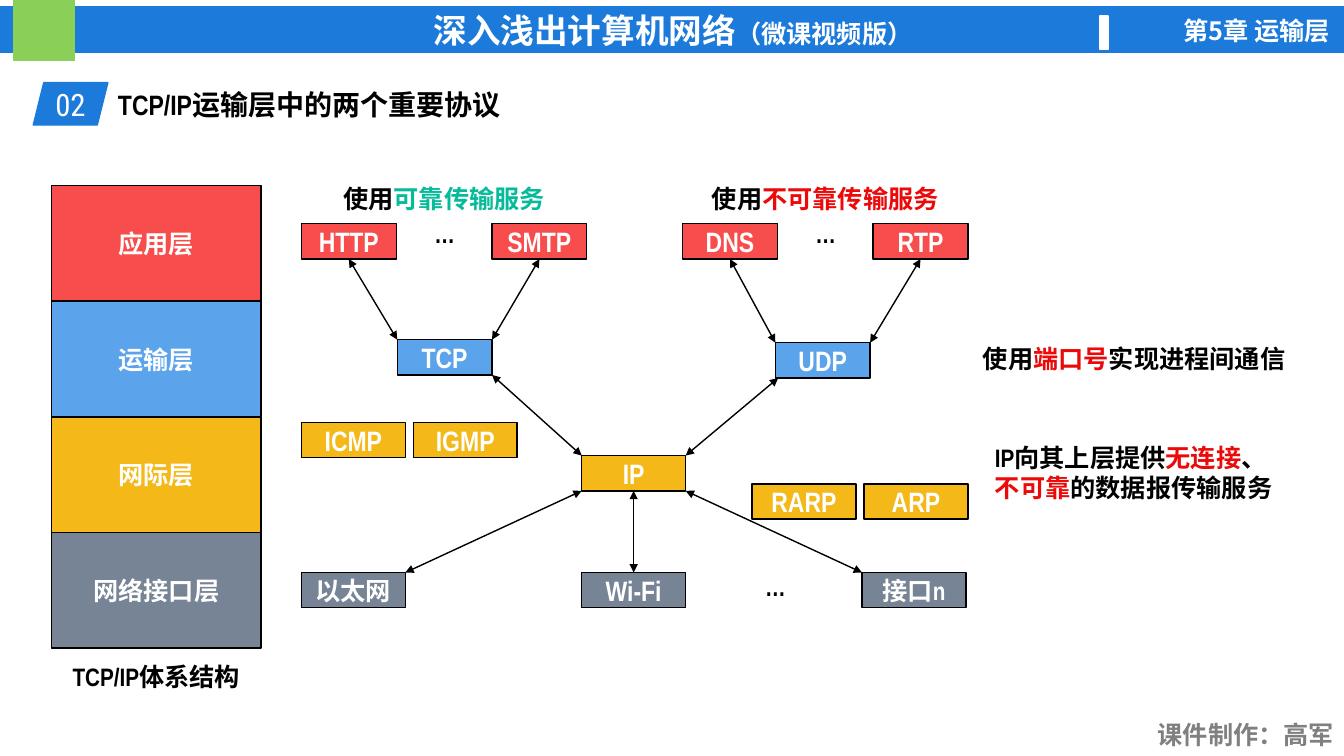
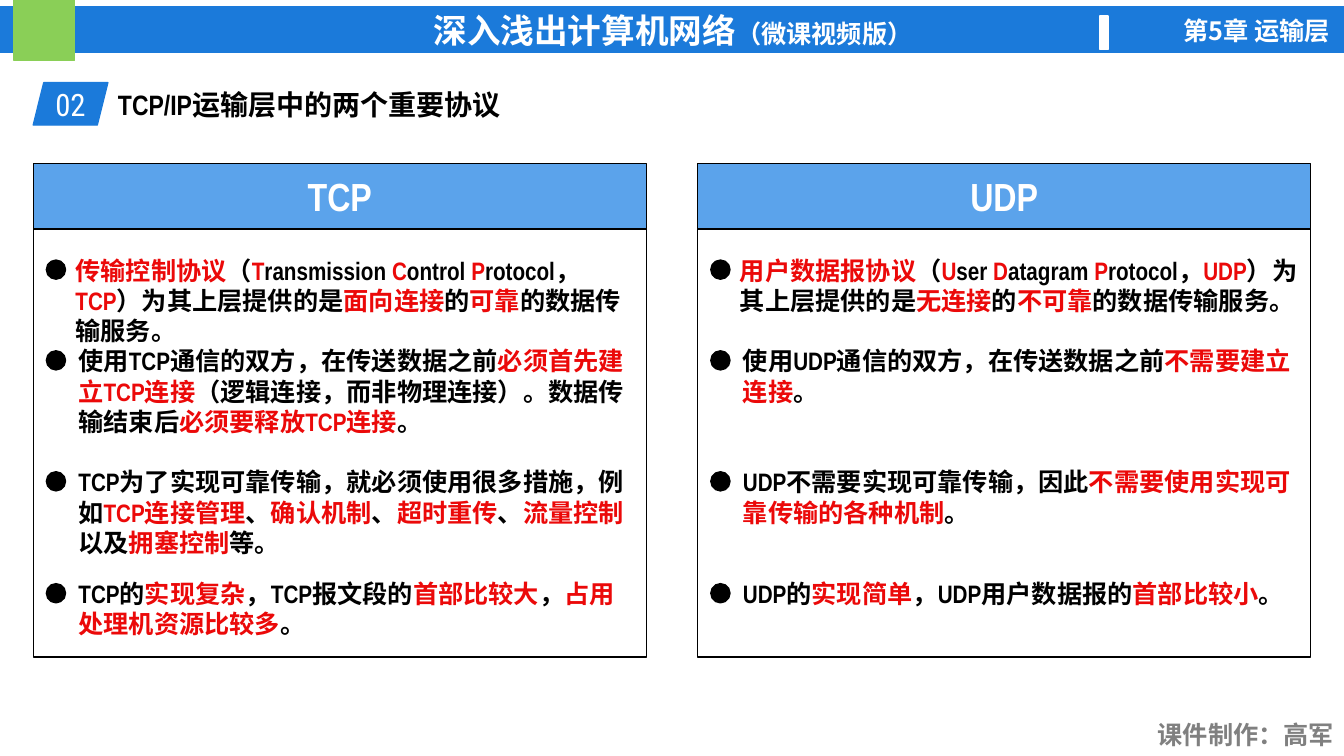
from typing import NamedTuple

from pptx import Presentation
from pptx.dml.color import RGBColor
from pptx.enum.lang import MSO_LANGUAGE_ID as LANGUAGE
from pptx.enum.shapes import MSO_CONNECTOR as CONNECTOR, MSO_SHAPE as SHAPE
from pptx.enum.text import MSO_ANCHOR as ANCHOR, MSO_AUTO_SIZE as AUTO_SIZE, PP_ALIGN as ALIGN
from pptx.oxml.ns import qn
from pptx.util import Inches, Pt
from lxml.etree import SubElement

BLUE = RGBColor(0x1B, 0x7A, 0xDA)
LIGHT_BLUE = RGBColor(0x5B, 0xA3, 0xEB)
GREEN = RGBColor(0x8A, 0xCF, 0x57)
TEAL = RGBColor(0x06, 0xBB, 0x9A)
CORAL = RGBColor(0xF8, 0x4D, 0x4D)
RED = RGBColor(0xEB, 0x09, 0x09)
AMBER = RGBColor(0xF4, 0xB9, 0x19)
SLATE = RGBColor(0x77, 0x84, 0x95)
GRAY = RGBColor(0x80, 0x80, 0x80)
BLACK = RGBColor(0, 0, 0)
WHITE = RGBColor(0xFF, 0xFF, 0xFF)

BODY_FONT = "Arial Narrow"
CHINESE_FONT = "Noto Sans CJK SC"
NUMBER_FONT = "Roboto Condensed"

TITLE = "TCP/IP运输层中的两个重要协议"
ELLIPSIS = "…"

COMPARISON = {
    "TCP": [
        "|传输控制协议|（|T|ransmission |C|ontrol |P|rotocol，|TCP|）为其上层提供的是"
        "|面向连接|的|可靠|的数据传输服务。",
        "使用TCP通信的双方，在传送数据之前|必须首先建立TCP连接|"
        "（逻辑连接，而非物理连接）。数据传输结束后|必须要释放TCP连接|。",
        "TCP为了实现可靠传输，就必须使用很多措施，例如|TCP连接管理|、|确认机制|、"
        "|超时重传|、|流量控制|以及|拥塞控制|等。",
        "TCP的|实现复杂|，TCP报文段的|首部比较大|，|占用处理机资源比较多|。",
    ],
    "UDP": [
        "|用户数据报协议|（|U|ser |D|atagram |P|rotocol，|UDP|）为其上层提供的是"
        "|无连接|的|不可靠|的数据传输服务。",
        "使用UDP通信的双方，在传送数据之前|不需要建立连接|。",
        "UDP不需要实现可靠传输，因此|不需要使用实现可靠传输的各种机制|。",
        "UDP的|实现简单|，UDP用户数据报的|首部比较小|。",
    ],
}


class Box(NamedTuple):
    """A rectangle in inches."""
    left: float
    top: float
    width: float
    height: float

    def inside(self, left, top, width, height):
        return Box(self.left + left, self.top + top, width, height)

    def point(self, across, down):
        """Point at the given fractions of the width and height."""
        return (Inches(self.left + across * self.width),
                Inches(self.top + down * self.height))

    def emu(self):
        return [Inches(length) for length in self]


def add_run(paragraph, text, size=18, color=BLACK, bold=True, font_name=BODY_FONT):
    run = paragraph.add_run()
    run.text = text
    font = run.font
    font.size, font.bold, font.name = Pt(size), bold, font_name
    font.color.rgb = color
    font.language_id = LANGUAGE.SIMPLIFIED_CHINESE
    SubElement(run.font._element, qn("a:ea")).set("typeface", CHINESE_FONT)


def add_marked_runs(paragraph, text, color=BLACK, accent=RED, **style):
    """Split the text at bars; every second piece takes the accent colour."""
    for index, piece in enumerate(text.split("|")):
        if piece:
            add_run(paragraph, piece, color=accent if index % 2 else color, **style)


def add_text(slide, box, lines, align=ALIGN.LEFT, **style):
    frame = slide.shapes.add_textbox(*box.emu()).text_frame
    frame.word_wrap = True
    frame.auto_size = AUTO_SIZE.SHAPE_TO_FIT_TEXT
    for index, line in enumerate(lines):
        paragraph = frame.add_paragraph() if index else frame.paragraphs[0]
        paragraph.alignment = align
        add_marked_runs(paragraph, line, **style)


def add_block(slide, box, fill, line=BLACK, kind=SHAPE.RECTANGLE, text="", **style):
    shape = slide.shapes.add_shape(kind, *box.emu())
    shape.shadow.inherit = False
    if fill is None:
        shape.fill.background()
    else:
        shape.fill.solid()
        shape.fill.fore_color.rgb = fill
    shape.line.color.rgb = line
    shape.line.width = Pt(1)
    if text:
        shape.text_frame.vertical_anchor = ANCHOR.MIDDLE
        paragraph = shape.text_frame.paragraphs[0]
        paragraph.alignment = ALIGN.CENTER
        add_run(paragraph, text, **{"color": WHITE, **style})
    return shape


def add_double_arrow(slide, start, end):
    connector = slide.shapes.add_connector(CONNECTOR.STRAIGHT, *start, *end)
    connector.line.color.rgb = BLACK
    connector.line.width = Pt(1)
    line = connector.line._get_or_add_ln()
    for tag in ("a:headEnd", "a:tailEnd"):
        SubElement(line, qn(tag)).set("type", "triangle")
    SubElement(connector.element.spPr, qn("a:effectLst"))


def draw_frame(slide):
    """Header band, its markers and the credit line."""
    band = add_block(slide, Box(0, 0.07, 13.35, 0.45), BLUE, BLUE,
                     text="深入浅出计算机网络", size=24)
    add_run(band.text_frame.paragraphs[0], "（微课视频版）", color=WHITE)
    add_block(slide, Box(0.14, 0, 0.6, 0.6), GREEN, GREEN)
    add_block(slide, Box(10.91, 0.16, 0.08, 0.33), WHITE, WHITE)
    add_text(slide, Box(11.11, 0.1, 2.18, 0.4), ["第5章 运输层"], ALIGN.RIGHT,
             color=WHITE, font_name=CHINESE_FONT)
    add_text(slide, Box(11.34, 7.09, 1.99, 0.4), ["课件制作：高军"], ALIGN.RIGHT, color=GRAY)


def move_frame_to_layout(slide, layout):
    """Draw the frame, then hand its shapes to the layout all slides share."""
    for placeholder in list(layout.placeholders):
        if placeholder.placeholder_format.idx:
            layout.shapes.element.remove(placeholder.element)
    draw_frame(slide)
    for shape in list(slide.shapes):
        if not shape.is_placeholder:
            layout.shapes.element.append(shape.element)


def draw_heading(slide, box):
    add_block(slide, box.inside(0, 0, 0.74, 0.42), BLUE, BLUE, SHAPE.PARALLELOGRAM,
              "02", size=22, bold=False, font_name=NUMBER_FONT)
    title = slide.shapes.title
    title.left, title.top, title.width, title.height = box.inside(0.74, 0, 6.03, 0.44).emu()
    frame = title.text_frame
    frame.word_wrap = True
    frame.auto_size = AUTO_SIZE.NONE
    frame.vertical_anchor = ANCHOR.TOP
    paragraph = frame.paragraphs[0]
    paragraph.alignment = ALIGN.LEFT
    add_run(paragraph, TITLE, size=20)


def draw_layer_stack(slide, box):
    layers = [("应用层", CORAL), ("运输层", LIGHT_BLUE), ("网际层", AMBER), ("网络接口层", SLATE)]
    height = box.height / len(layers)
    for index, (name, color) in enumerate(layers):
        add_block(slide, box.inside(0, index * height, box.width, height), color, text=name)
    add_text(slide, box.inside(0, box.height + 0.08, box.width, 0.4),
             ["TCP/IP体系结构"], ALIGN.CENTER)


def draw_protocol_map(slide, box):
    height, narrow, wide = 0.35, 0.94, 1.03
    app_pitch, link_pitch, pair_pitch = 1.89, 2.78, 1.11
    app_top, internet_top, link_top = 0.45, 2.75, 3.91
    nodes = {}

    def add_node(name, left, top, width, color, size=20):
        nodes[name] = box.inside(left, top, width, height)
        add_block(slide, nodes[name], color, text=name, size=size)

    def add_ellipsis(left, top):
        add_text(slide, box.inside(left, top, 1.44, 0.4), [ELLIPSIS], ALIGN.CENTER)

    for index, name in enumerate(["HTTP", "SMTP", "DNS", "RTP"]):
        add_node(name, index * app_pitch, app_top, narrow, CORAL)
    services = [("使用|可靠传输服务", TEAL), ("使用|不可靠传输服务", RED)]
    for index, (text, accent) in enumerate(services):
        left = index * 2 * app_pitch
        add_text(slide, box.inside(left, 0, 2.83, 0.4), [text], ALIGN.CENTER, accent=accent)
        add_ellipsis(left + 0.7, 0.35)

    add_node("TCP", 0.95, 1.6, narrow, LIGHT_BLUE)
    add_node("UDP", 4.7, 1.63, narrow, LIGHT_BLUE)
    for left, top, pair in [(0, 2.42, ("ICMP", "IGMP")), (4.47, 3.03, ("RARP", "ARP"))]:
        for index, name in enumerate(pair):
            add_node(name, left + index * pair_pitch, top, wide, AMBER)
    add_node("IP", link_pitch, internet_top, wide, AMBER)
    for index, (name, size) in enumerate([("以太网", 18), ("Wi-Fi", 20), ("接口n", 18)]):
        add_node(name, index * link_pitch, link_top, wide, SLATE, size)
    add_ellipsis(3.98, 3.85)

    # Lower node, upper node, and how far across each the arrow meets it
    links = [
        ("TCP", 0, "HTTP", 0.5), ("TCP", 1, "SMTP", 0.5),
        ("UDP", 0, "DNS", 0.5), ("UDP", 1, "RTP", 0.5),
        ("IP", 0, "TCP", 1), ("IP", 1, "UDP", 0.03),
        ("以太网", 1, "IP", 0), ("Wi-Fi", 0.5, "IP", 0.5), ("接口n", 0, "IP", 1),
    ]
    for lower, lower_across, upper, upper_across in links:
        add_double_arrow(slide, nodes[lower].point(lower_across, 0),
                         nodes[upper].point(upper_across, 1))


def draw_side_notes(slide, box):
    add_text(slide, box.inside(0, 0, 3.26, 0.4), ["使用|端口号|实现进程间通信"])
    add_text(slide, box.inside(0.12, 0.98, 3.04, 0.71),
             ["IP向其上层提供|无连接|、", "|不可靠|的数据报传输服务"])


def draw_protocol_panel(slide, box, name, points):
    header = 0.65
    add_block(slide, box.inside(0, 0, box.width, header), LIGHT_BLUE, text=name, size=28)
    add_block(slide, box.inside(0, header, box.width, box.height - header), None)
    for index, (top, point) in enumerate(zip((0.86, 1.76, 2.96, 4.07), points)):
        left = 0.35 if index else 0.32
        add_block(slide, box.inside(0.13, top + 0.1, 0.19, 0.19), BLACK, kind=SHAPE.OVAL)
        add_text(slide, box.inside(left, top, box.width + 0.01 - left, 0.71), [point])


def build_architecture_slide(slide):
    draw_protocol_map(slide, Box(2.99, 1.77, 6.61, 4.26))
    draw_layer_stack(slide, Box(0.51, 1.84, 2.08, 4.59))
    draw_side_notes(slide, Box(9.65, 3.36, 3.26, 1.69))


def build_comparison_slide(slide):
    for index, (name, points) in enumerate(COMPARISON.items()):
        draw_protocol_panel(slide, Box(0.33 + index * 6.59, 1.62, 6.08, 4.9), name, points)


def main():
    presentation = Presentation()
    presentation.slide_width, presentation.slide_height = Inches(13.33), Inches(7.5)
    layout = presentation.slide_layouts[5]
    for index, build in enumerate([build_architecture_slide, build_comparison_slide]):
        slide = presentation.slides.add_slide(layout)
        if index == 0:
            move_frame_to_layout(slide, layout)
        build(slide)
        draw_heading(slide, Box(0.33, 0.82, 6.77, 0.44))
    presentation.save("out.pptx")


if __name__ == "__main__":
    main()
